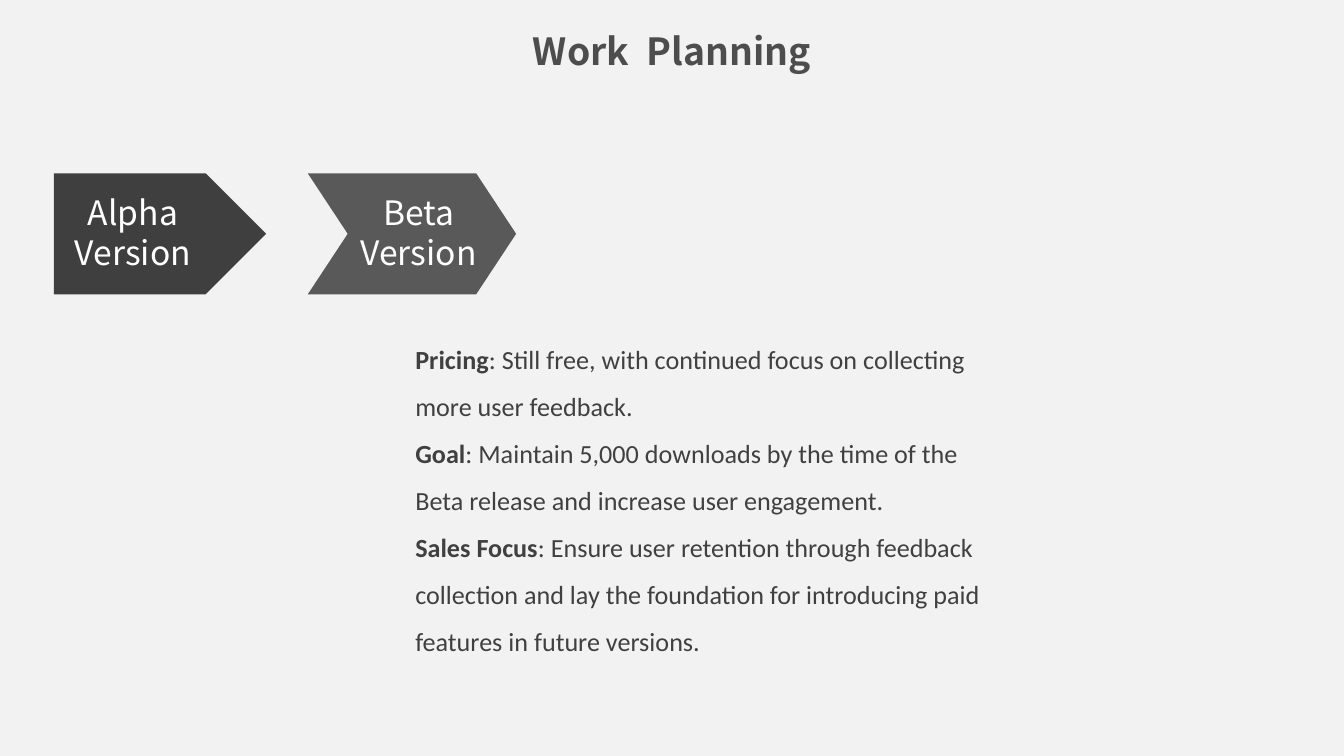
"""Build the work planning slide with two version stages and the beta details."""
import pptx
import pptx.dml.color
import pptx.enum.shapes
import pptx.enum.text
import pptx.util
from pptx.util import Inches

SLIDE_WIDTH = 10
SLIDE_HEIGHT = SLIDE_WIDTH * 9 / 16
COLORS = {
    "background": "F2F2F2",
    "title": "4D4D4D",
    "alpha": "3F3F3F",
    "beta": "595959",
    "label": "FFFFFF",
    "body": "404040",
}
HEADING_FONT, BODY_FONT = "Noto Sans CJK SC", "Calibri"
TITLE = "Work  Planning"
SHAPES = pptx.enum.shapes.MSO_SHAPE
STAGES = [
    {"lines": ["Alpha", "Version"], "shape": SHAPES.PENTAGON, "color": "alpha", "point": 0.5,
     "left": 0.4, "width": 1.58, "label_left": 0.42, "label_width": 1.14},
    {"lines": ["Beta Version"], "shape": SHAPES.CHEVRON, "color": "beta", "point": 0.33,
     "left": 2.29, "width": 1.55, "label_left": 2.56, "label_width": 1.11},
]
STAGE_TOP, STAGE_HEIGHT = 1.29, 0.9
LABEL_TOP, LABEL_HEIGHT = 1.38, 0.31
DETAILS = [
    ("Pricing", "Still free, with continued focus on collecting more user feedback."),
    ("Goal", "Maintain 5,000 downloads by the time of the Beta release "
             "and increase user engagement."),
    ("Sales Focus", "Ensure user retention through feedback collection and lay the "
                    "foundation for introducing paid features in future versions."),
]


def rgb(name):
    return pptx.dml.color.RGBColor.from_string(COLORS[name])


def place(shape, left, top, width, height):
    shape.left, shape.top = Inches(left), Inches(top)
    shape.width, shape.height = Inches(width), Inches(height)


def prepare_frame(shape, anchor):
    frame = shape.text_frame
    frame.word_wrap = True
    frame.auto_size = pptx.enum.text.MSO_AUTO_SIZE.NONE
    frame.vertical_anchor = anchor
    return frame


def style(paragraph, font_name, size, color, bold=None, centered=True):
    alignment = pptx.enum.text.PP_ALIGN
    paragraph.alignment = alignment.CENTER if centered else alignment.LEFT
    font = paragraph.font
    font.name, font.size, font.bold = font_name, pptx.util.Pt(size), bold
    font.color.rgb = rgb(color)


def add_title(slide):
    title = slide.shapes.title
    place(title, 2.64, 0.16, 4.72, 0.44)
    frame = prepare_frame(title, pptx.enum.text.MSO_ANCHOR.MIDDLE)
    frame.text = TITLE
    style(frame.paragraphs[0], HEADING_FONT, 20, "title", bold=True)


def add_stage(slide, stage):
    arrow = slide.shapes.add_shape(
        stage["shape"], Inches(stage["left"]), Inches(STAGE_TOP),
        Inches(stage["width"]), Inches(STAGE_HEIGHT))
    arrow.adjustments[0] = stage["point"]
    arrow.shadow.inherit = False
    arrow.fill.solid()
    arrow.fill.fore_color.rgb = rgb(stage["color"])
    arrow.line.fill.background()
    label = slide.shapes.add_textbox(
        Inches(stage["label_left"]), Inches(LABEL_TOP),
        Inches(stage["label_width"]), Inches(LABEL_HEIGHT))
    frame = prepare_frame(label, pptx.enum.text.MSO_ANCHOR.TOP)
    frame.text = "\n".join(stage["lines"])
    for paragraph in frame.paragraphs:
        style(paragraph, HEADING_FONT, 18, "label")


def add_details(slide):
    body = slide.placeholders[1]
    place(body, 2.99, 2.39, 4.46, 2.57)
    frame = prepare_frame(body, pptx.enum.text.MSO_ANCHOR.TOP)
    frame.text = "\n".join(topic for topic, _ in DETAILS)
    for paragraph, (_, detail) in zip(frame.paragraphs, DETAILS):
        properties = paragraph._p.get_or_add_pPr()
        properties.set("marL", "0")
        properties.set("indent", "0")
        properties.append(pptx.oxml.xmlchemy.OxmlElement("a:buNone"))
        style(paragraph, BODY_FONT, 14, "body", centered=False)
        paragraph.line_spacing = 1.5
        paragraph.space_before = pptx.util.Pt(0)
        paragraph.runs[0].font.bold = True
        paragraph.add_run().text = f": {detail}"


def main():
    presentation = pptx.Presentation()
    presentation.slide_width = Inches(SLIDE_WIDTH)
    presentation.slide_height = Inches(SLIDE_HEIGHT)
    slide = presentation.slides.add_slide(presentation.slide_layouts[1])
    slide.background.fill.solid()
    slide.background.fill.fore_color.rgb = rgb("background")
    add_title(slide)
    for stage in STAGES:
        add_stage(slide, stage)
    add_details(slide)
    presentation.save("out.pptx")


if __name__ == "__main__":
    main()
